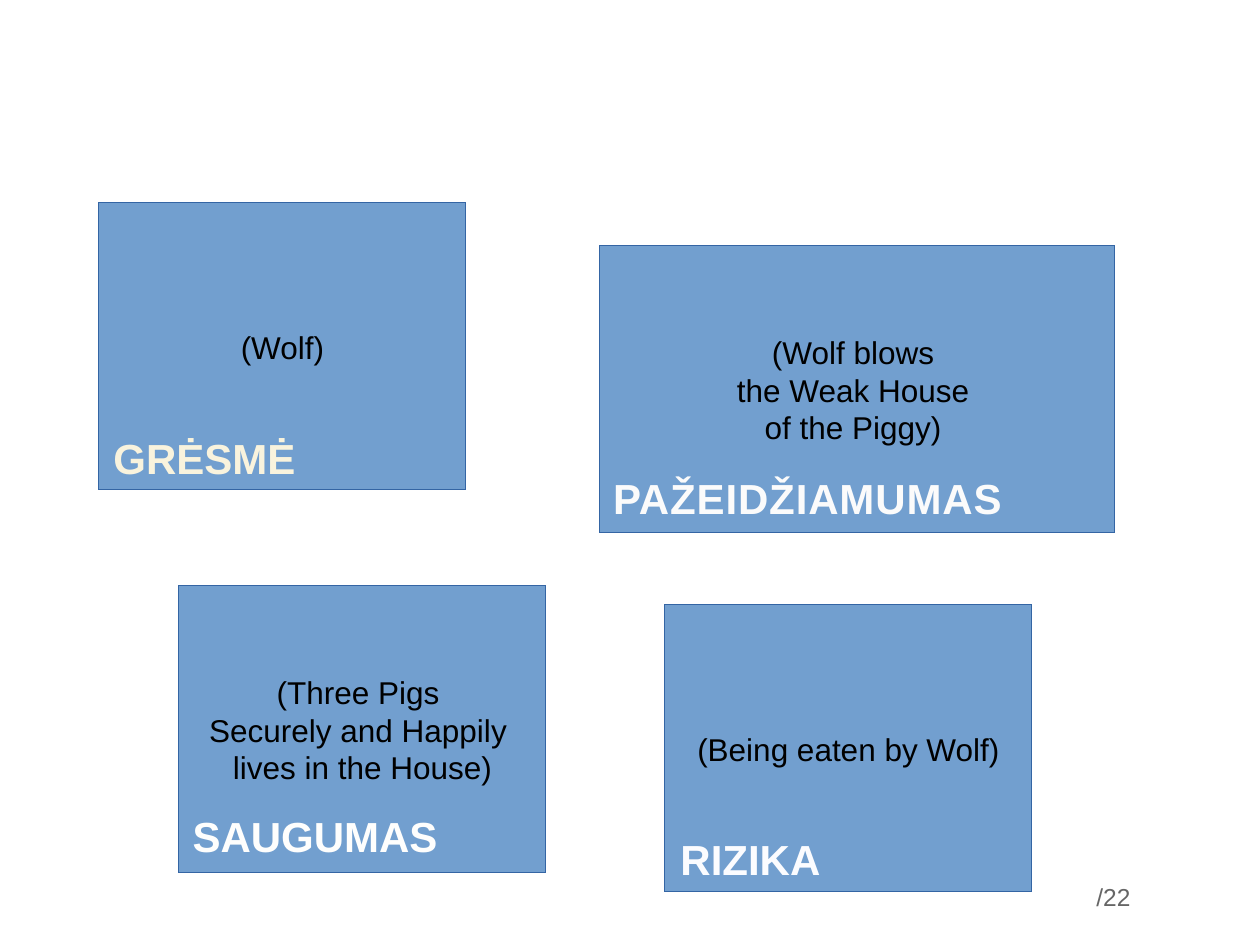
from pptx import Presentation
from pptx.dml.color import RGBColor
from pptx.enum.shapes import MSO_SHAPE
from pptx.enum.text import MSO_ANCHOR, PP_ALIGN
from pptx.util import Emu, Pt

RECT = MSO_SHAPE.RECTANGLE
TOP, MIDDLE = MSO_ANCHOR.TOP, MSO_ANCHOR.MIDDLE
LEFT, CENTER = PP_ALIGN.LEFT, PP_ALIGN.CENTER

PX = 914400 // 126
CARD_H, LABEL_H = 287, 63
HAIRLINE = Pt(0.01)

# Cards: lines, left, top, width; label: text, left, top, width, format
CARDS = [
    (["(Three Pigs ", "Securely and Happily ", "lives in the House)"], (179, 586, 367),
     "SAUGUMAS", (180, 804, 270), dict(color="FEFEFD")),
    (["(Wolf blows ", "the Weak House ", "of the Piggy) "], (600, 246, 515),
     "PAŽEIDŽIAMUMAS", (591, 466, 433), dict(color="FBFBFB", spacing=0.5)),
    (["(Wolf)"], (99, 203, 367),
     "GRĖSMĖ", (62, 426, 285), dict(color="F9F3DD")),
    (["(Being eaten by Wolf)"], (665, 605, 367),
     "RIZIKA", (663, 827, 175), dict(color="FBFCFF")),
]
PAGE_TOTAL = "/22"


def px(*values):
    return [Emu(v * PX) for v in values]


def rgb(color):
    return RGBColor.from_string(color)


def write(s, lines, size=18, color="000000", bold=False, align=CENTER,
          anchor=TOP, wrap=False, spacing=0):
    tf = s.text_frame
    tf.word_wrap = wrap
    tf.vertical_anchor = anchor
    for i, line in enumerate(lines):
        p = tf.add_paragraph() if i else tf.paragraphs[0]
        p.alignment = align
        r = p.add_run()
        r.text = line
        r.font.name, r.font.size, r.font.bold = "Arial", Pt(size), bold
        r.font.color.rgb = rgb(color)
        if spacing:
            r._r.get_or_add_rPr().set("spc", str(int(spacing * 100)))


prs = Presentation()
prs.slide_width, prs.slide_height = px(1260, 945)
slide = prs.slides.add_slide(prs.slide_layouts[6])

# Cards with their labels
for lines, card, label, label_at, style in CARDS:
    s = slide.shapes.add_shape(RECT, *px(*card, CARD_H))
    s.shadow.inherit = False
    s.fill.solid()
    s.fill.fore_color.rgb = rgb("729FCF")
    s.line.color.rgb = rgb("3465A4")
    s.line.width = HAIRLINE
    write(s, lines, anchor=MIDDLE)
    s = slide.shapes.add_textbox(*px(*label_at, LABEL_H))
    write(s, [label], size=24, bold=True, **style)

# Page total
s = slide.shapes.add_textbox(*px(1084, 876, 131, 50))
write(s, [PAGE_TOTAL], size=14, color="666666", align=LEFT, wrap=True)

prs.save("out.pptx")
